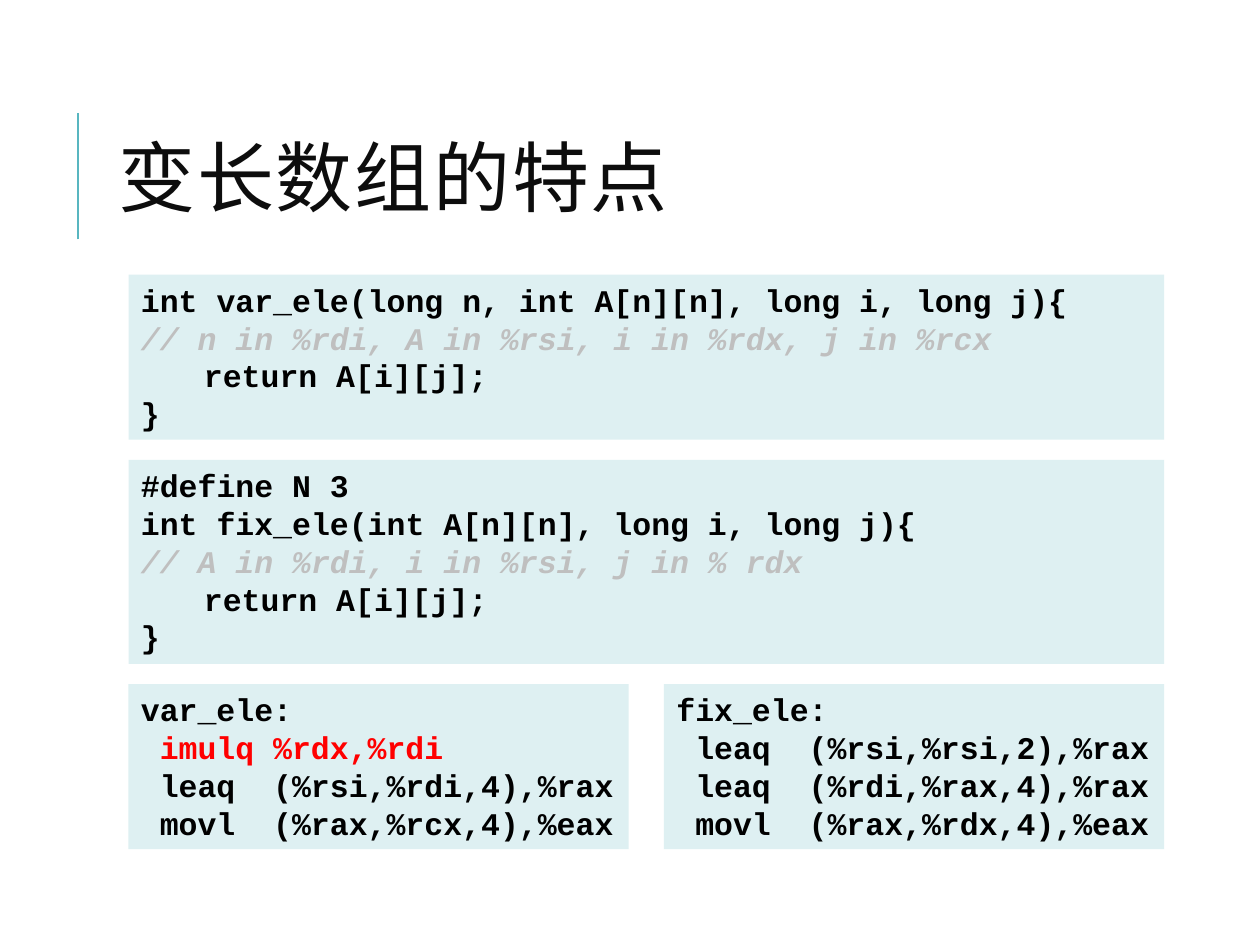
from lxml import etree
from pptx import Presentation
from pptx.dml.color import RGBColor
from pptx.enum.shapes import MSO_CONNECTOR, MSO_SHAPE
from pptx.enum.text import MSO_ANCHOR, MSO_AUTO_SIZE, PP_ALIGN
from pptx.oxml.ns import qn
from pptx.util import Inches, Pt

LINE = MSO_CONNECTOR.STRAIGHT
RECT = MSO_SHAPE.RECTANGLE
MID, TOP = MSO_ANCHOR.MIDDLE, MSO_ANCHOR.TOP
FIXED = MSO_AUTO_SIZE.NONE
LEFT = PP_ALIGN.LEFT

FONT = "Courier New"
BLACK, GREY, RED = "000000", "BFBFBF", "FF0000"
LEFT_X, TOP_Y, WIDTH = 1.02, 2.18, 8.22
GAP, GUTTER = 0.16, 0.28
ROW, PAD = 0.31, 0.07

# Each row holds code blocks side by side.
ROWS = [
    ["""int var_ele(long n, int A[n][n], long i, long j){
// n in %rdi, A in %rsi, i in %rdx, j in %rcx
\treturn A[i][j];
}"""],
    ["""#define N 3
int fix_ele(int A[n][n], long i, long j){
// A in %rdi, i in %rsi, j in % rdx
\treturn A[i][j];
}"""],
    ["""var_ele:
 imulq %rdx,%rdi
 leaq  (%rsi,%rdi,4),%rax
 movl  (%rax,%rcx,4),%eax""",
     """fix_ele:
 leaq  (%rsi,%rsi,2),%rax
 leaq  (%rdi,%rax,4),%rax
 movl  (%rax,%rdx,4),%eax"""],
]


def rgb(code):
    return RGBColor.from_string(code)


def add_title(slide, text, x, y, w, h):
    """Place the title and the accent line beside it."""
    title = slide.shapes.title
    title.left, title.top, title.width, title.height = map(Inches, (x, y, w, h))
    frame = title.text_frame
    frame.text = text
    frame.vertical_anchor = MID
    frame.auto_size = FIXED
    par = frame.paragraphs[0]
    par.alignment = LEFT
    par.line_spacing = 0.8
    par.font.name, par.font.size = FONT, Pt(44)
    par.font.color.rgb = rgb("0D0D0D")
    par.runs[0].font._element.set("spc", "100")

    bar_x = Inches(x - 0.22)
    bar = slide.shapes.add_connector(
        LINE, bar_x, Inches(y + 1.26), bar_x, Inches(y + 0.26))
    bar.line.color.rgb = rgb("58B6C0")
    bar.line.width = Pt(1.5)
    etree.SubElement(bar._element.spPr, qn("a:effectLst"))


def add_code(slide, code, x, y, w, h):
    box = slide.shapes.add_shape(RECT, *map(Inches, (x, y, w, h)))
    box.shadow.inherit = False
    box.fill.solid()
    box.fill.fore_color.rgb = rgb("DEF0F2")
    box.line.fill.background()
    frame = box.text_frame
    frame.word_wrap = True
    frame.vertical_anchor = TOP
    for i, line in enumerate(code.split("\n")):
        par = frame.add_paragraph() if i else frame.paragraphs[0]
        par.alignment = LEFT
        par.add_run().text = line
        note = line.startswith("//")
        font = par.font
        font.name, font.size = FONT, Pt(18)
        font.bold, font.italic = True, note
        hot = "imulq" in line
        font.color.rgb = rgb(GREY if note else RED if hot else BLACK)


def add_grid(slide, rows, x, y, w):
    """Stack the rows, each as high as its code, split into equal columns."""
    for row in rows:
        high = PAD + ROW * (row[0].count("\n") + 1)
        wide = (w - GUTTER * (len(row) - 1)) / len(row)
        for col, code in enumerate(row):
            add_code(slide, code, x + col * (wide + GUTTER), y, wide, high)
        y += high + GAP


def main():
    deck = Presentation()
    deck.slide_width, deck.slide_height = Inches(10), Inches(7.5)
    slide = deck.slides.add_slide(deck.slide_layouts[5])
    add_title(slide, "变长数组的特点", 0.84, 0.64, 7.97, 1.64)
    add_grid(slide, ROWS, LEFT_X, TOP_Y, WIDTH)
    deck.save("out.pptx")


if __name__ == "__main__":
    main()
